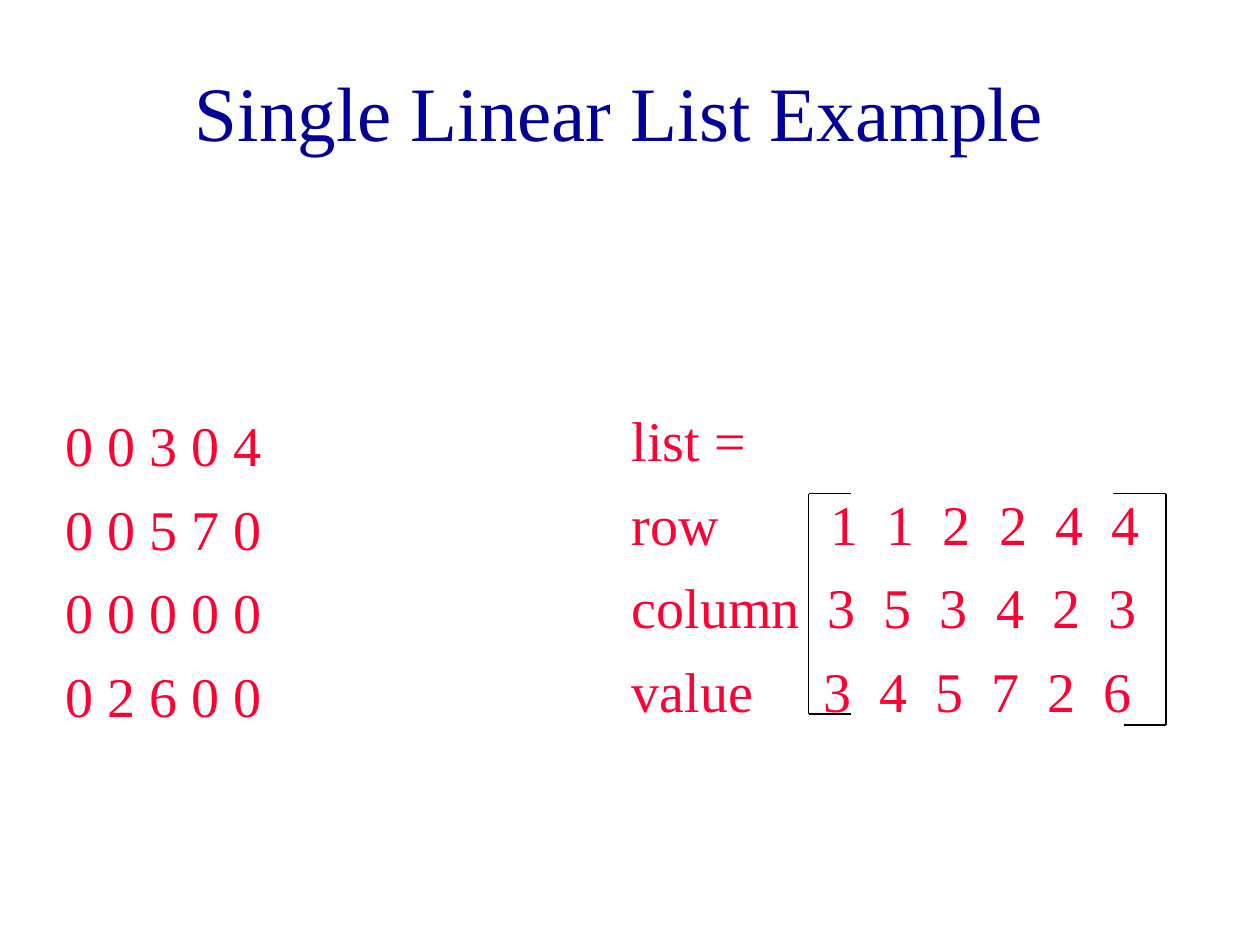
from itertools import pairwise
from lxml import etree
from pptx import Presentation
from pptx.dml.color import RGBColor
from pptx.enum.shapes import MSO_CONNECTOR
from pptx.enum.text import MSO_ANCHOR, MSO_AUTO_SIZE, PP_ALIGN
from pptx.oxml.ns import qn
from pptx.util import Cm, Pt

STRAIGHT = MSO_CONNECTOR.STRAIGHT
TOP, MIDDLE = MSO_ANCHOR.TOP, MSO_ANCHOR.MIDDLE
LEFT, CENTER = PP_ALIGN.LEFT, PP_ALIGN.CENTER
NO_AUTOFIT = MSO_AUTO_SIZE.NONE

FONT = "Times New Roman"
COLORS = {"title": "000099", "text": "FF0033", "bracket": "000000"}
TITLE = "Single Linear List Example"
MATRIX = ["0 0 3 0 4", "0 0 5 7 0", "0 0 0 0 0", "0 2 6 0 0"]
LIST_HEADING = "list ="
LIST_ROWS = [
    ("row", [1, 1, 2, 2, 4, 4], 4.01),
    ("column", [3, 5, 3, 4, 2, 3], 3.95),
    ("value", [3, 4, 5, 7, 2, 6], 3.86),
]
DIGIT_PITCH = 1.13
BRACKETS = [
    [(17.15, 9.95), (16.3, 9.95), (16.3, 14.4), (17.15, 14.4)],
    [(22.44, 9.95), (23.5, 9.95), (23.5, 14.61), (22.65, 14.61)],
]


def fill_text(shape, box, lines, size, color, alignment, anchor, space_before):
    shape.left, shape.top, shape.width, shape.height = map(Cm, box)
    frame = shape.text_frame
    frame.word_wrap = True
    frame.auto_size = NO_AUTOFIT
    frame.vertical_anchor = anchor
    frame.text = "\n".join(lines)
    for paragraph in frame.paragraphs:
        paragraph.alignment = alignment
        paragraph.space_before = Pt(space_before)
        paragraph.line_spacing = 1.0
        for run in paragraph.runs:
            run.font.name = FONT
            run.font.size = Pt(size)
            run.font.color.rgb = RGBColor.from_string(COLORS[color])


def set_tabs(paragraph, positions):
    properties = paragraph._p.get_or_add_pPr()
    tabs = etree.SubElement(properties, qn("a:tabLst"))
    for position in positions:
        etree.SubElement(tabs, qn("a:tab"), pos=str(Cm(position)), algn="l")


def add_bracket(slide, points):
    for start, end in pairwise(points):
        line = slide.shapes.add_connector(STRAIGHT, *map(Cm, start + end))
        line.line.color.rgb = RGBColor.from_string(COLORS["bracket"])
        line.line.width = Pt(1)
        etree.SubElement(line._element.spPr, qn("a:effectLst"))


presentation = Presentation()
presentation.slide_width, presentation.slide_height = Cm(25.4), Cm(19.05)
slide = presentation.slides.add_slide(presentation.slide_layouts[0])
title, matrix = slide.placeholders

fill_text(title, (1.7, 0.64, 21.59, 3.18), [TITLE], 44, "title", CENTER, MIDDLE, 0)
fill_text(matrix, (1.07, 8.15, 8.69, 8.47), MATRIX, 32, "text", LEFT, TOP, 9.4)

list_lines = [LIST_HEADING]
list_lines += ["\t".join([label, *map(str, digits)]) for label, digits, _ in LIST_ROWS]
list_box = slide.shapes.add_textbox(0, 0, 0, 0)
fill_text(list_box, (12.49, 8.05, 12.07, 7.82), list_lines, 32, "text", LEFT, TOP, 9.4)
for paragraph, (_, digits, first) in zip(list_box.text_frame.paragraphs[1:], LIST_ROWS):
    set_tabs(paragraph, [first + i * DIGIT_PITCH for i in range(len(digits))])

for points in BRACKETS:
    add_bracket(slide, points)

presentation.save("out.pptx")
